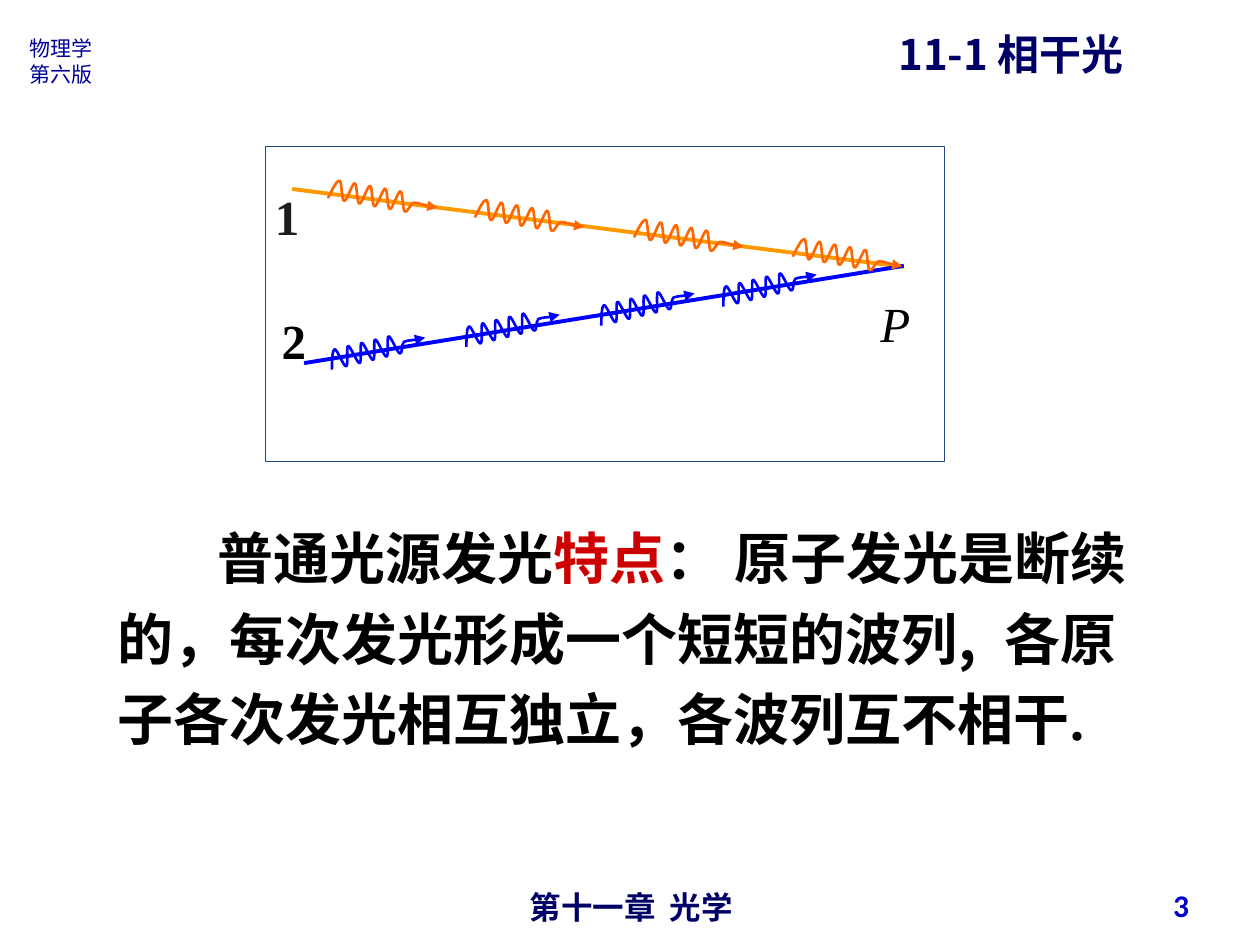
from lxml import etree
from pptx import Presentation
from pptx.dml.color import RGBColor
from pptx.enum.shapes import MSO_CONNECTOR, MSO_SHAPE
from pptx.enum.text import MSO_ANCHOR, PP_ALIGN
from pptx.oxml.ns import qn
from pptx.util import Cm, Pt

LINE, RECT = MSO_CONNECTOR.STRAIGHT, MSO_SHAPE.RECTANGLE
TOP, MIDDLE = MSO_ANCHOR.TOP, MSO_ANCHOR.MIDDLE
LEFT, CENTER, RIGHT = PP_ALIGN.LEFT, PP_ALIGN.CENTER, PP_ALIGN.RIGHT

WHITE = RGBColor(0xFF, 0xFF, 0xFF)
BLACK = RGBColor(0x00, 0x00, 0x00)
GREY = RGBColor(0x1C, 0x1C, 0x1C)
NAVY = RGBColor(0x00, 0x00, 0x66)
INK = RGBColor(0x00, 0x00, 0x99)
ROYAL = RGBColor(0x00, 0x00, 0xCC)
BLUE = RGBColor(0x00, 0x00, 0xFF)
STEEL = RGBColor(0x1F, 0x49, 0x7D)
AMBER = RGBColor(0xFF, 0x99, 0x00)
ORANGE = RGBColor(0xFF, 0x66, 0x00)
RED = RGBColor(0xCC, 0x00, 0x00)

HAN, ROMAN = "Noto Sans CJK SC", "Times New Roman"
HIGH = 150  # wave height in thousandths of an inch


def style(font, size, color, name, bold=False, italic=False):
    font.size, font.bold, font.italic = Pt(size), bold, italic
    font.color.rgb = color
    font.name = name


def add_text(slide, box, lines, size, color, name, bold=False, italic=False,
             align=LEFT, anchor=TOP, wrap=True):
    """Add a text box; each line is a list of runs (text, colour, font) or a string."""
    frame = slide.shapes.add_textbox(*map(Cm, box)).text_frame
    frame.word_wrap, frame.vertical_anchor = wrap, anchor
    for i, line in enumerate(lines):
        para = frame.add_paragraph() if i else frame.paragraphs[0]
        para.alignment = align
        runs = [(line, color, name)] if isinstance(line, str) else line
        for text, tint, face in runs:
            run = para.add_run()
            run.text = text
            style(run.font, size, tint, face, bold, italic)
            ea = etree.SubElement(run.font._element, qn("a:ea"))
            ea.set("typeface", HAN)
    return frame


def add_ray(slide, start, end, color):
    ray = slide.shapes.add_connector(LINE, *map(Cm, start + end))
    ray.line.color.rgb, ray.line.width = color, Pt(2.25)
    etree.SubElement(ray._element.spPr, qn("a:effectLst"))


def wave_curves():
    """Bezier curves (two controls, end) of five crests and a level tail."""
    step, crests = 124, 5
    curves = [((20, 80), (45, 0), (66, 0))]
    for k in range(crests):
        x = k * step
        curves.append(((x + 87, 0), (x + 109, HIGH), (x + 131, HIGH)))
        if k < crests - 1:
            curves.append(((x + 153, HIGH), (x + 171, 0), (x + 190, 0)))
    x += 131
    return curves + [((x + 20, 156), (x + 29, 84), (x + 57, 69)),
                     ((x + 86, 64), (x + 149, 73), (x + 180, 77)),
                     ((x + 210, 78), (x + 230, 76), (x + 251, 75))]


def add_train(slide, box, angle, color):
    """Add one wave train in a level box, then turn it by the angle."""
    curves = wave_curves()
    pen = slide.shapes.build_freeform(0, HIGH, scale=Cm(2.54) / 1000)
    pen.add_line_segments([end for *_, end in curves], close=False)
    train = pen.convert_to_shape()
    for piece, curve in zip(list(train._element.iter(qn("a:lnTo"))), curves):
        piece.tag = qn("a:cubicBezTo")
        piece.clear()
        for x, y in curve:
            etree.SubElement(piece, qn("a:pt"), x=str(x), y=str(y))
    train.left, train.top, train.width, train.height = map(Cm, box)
    train.rotation = angle
    train.shadow.inherit = False
    train.fill.background()
    train.line.color.rgb, train.line.width = color, Pt(1.5)
    etree.SubElement(train.line._get_or_add_ln(), qn("a:tailEnd")).set("type", "triangle")


def add_figure(slide, box):
    left, top = box[:2]

    def at(x, y):
        return left + x, top + y

    panel = slide.shapes.add_shape(RECT, *map(Cm, box))
    panel.shadow.inherit = False
    panel.fill.solid()
    panel.fill.fore_color.rgb = WHITE
    panel.line.color.rgb, panel.line.width = STEEL, Pt(0.75)

    add_ray(slide, at(0.54, 0.85), at(12.87, 2.42), AMBER)
    add_ray(slide, at(0.78, 4.36), at(12.87, 2.4), BLUE)
    upper = [(1.28, 0.84), (4.24, 1.23), (7.45, 1.63), (10.65, 2.02)]
    lower = [(1.27, 3.88), (3.98, 3.42), (6.7, 2.99), (9.16, 2.61)]
    for spots, width, angle, color in ((lower, 1.98, -13.4, BLUE),
                                       (upper, 2.21, 10, ORANGE)):
        for spot in spots:
            add_train(slide, at(*spot) + (width, 0.39), angle, color)

    add_text(slide, at(12.15, 2.83) + (1.12, 1.45), ["P"], 28, BLACK, ROMAN,
             italic=True, wrap=False)
    add_text(slide, at(0.08, 3.17) + (0.99, 1.45), ["2"], 28, BLACK, ROMAN,
             bold=True, wrap=False)
    add_text(slide, at(-0.06, 0.67) + (1.68, 1.45), ["1"], 28, GREY, ROMAN, bold=True)


def add_frame(slide):
    """Add the header and footer texts."""
    add_text(slide, (0.34, 0.6, 1.83, 1.27), ["物理学", "第六版"], 12, INK, HAN)
    title = add_text(slide, (17.86, 0.25, 5.77, 2.69), ["11-1 相干光"], 24, NAVY, HAN,
                     bold=True)
    title.paragraphs[0].line_spacing = 1.2
    add_text(slide, (8.7, 17.78, 8.05, 0.74), ["第十一章  光学"], 18, NAVY, "Arial",
             bold=True, align=CENTER)
    add_text(slide, (18.3, 17.73, 5.92, 1.02), ["3"], 18, ROYAL, "Calibri",
             bold=True, align=RIGHT, anchor=MIDDLE)


def add_body(slide, box):
    runs = [("普通光源发光", BLACK, ROMAN),
            ("特点", RED, ROMAN),
            ("： 原子发光是断续的，每次发光形成一个短短的波列", BLACK, ROMAN),
            (",", BLACK, HAN),
            ("  各原子各次发光相互独立，各波列互不相干.", BLACK, ROMAN)]
    frame = add_text(slide, box, [runs], 32, BLACK, ROMAN, bold=True, anchor=MIDDLE)
    para = frame.paragraphs[0]
    para.line_spacing = 1.2
    para._p.get_or_add_pPr().set("indent", str(Cm(2.02)))


def main():
    deck = Presentation()
    deck.slide_width, deck.slide_height = Cm(25.4), Cm(19.05)
    slide = deck.slides.add_slide(deck.slide_layouts[6])
    add_frame(slide)
    add_figure(slide, (5.35, 2.96, 13.69, 6.35))
    add_body(slide, (2.11, 10.16, 21.59, 5.13))
    deck.save("out.pptx")


if __name__ == "__main__":
    main()
